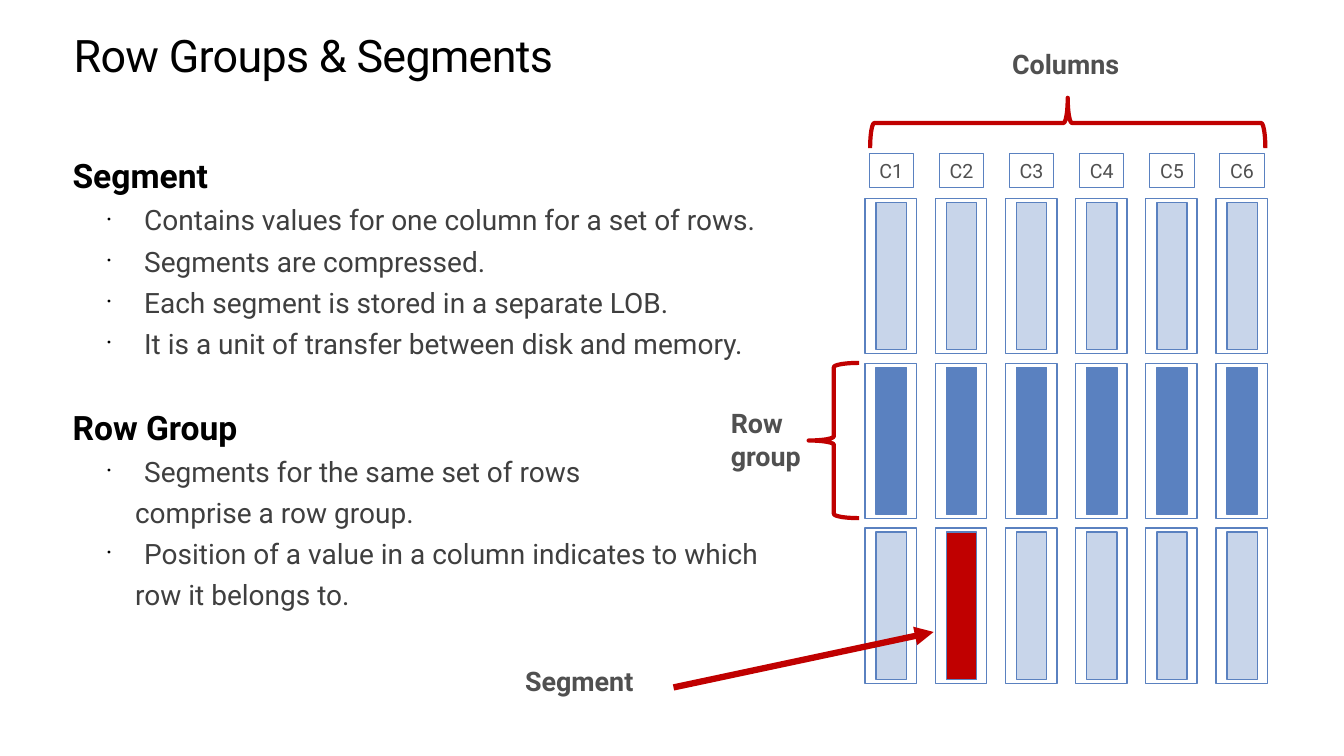
from dataclasses import dataclass
from lxml.etree import SubElement
from pptx import Presentation
from pptx.dml.color import RGBColor
from pptx.enum.shapes import MSO_CONNECTOR, MSO_SHAPE
from pptx.enum.text import MSO_ANCHOR, MSO_AUTO_SIZE, PP_ALIGN
from pptx.oxml.ns import qn
from pptx.util import Inches, Pt


@dataclass(frozen=True)
class Theme:
    font: str = "Roboto"
    black: str = "000000"
    body: str = "3F3F3F"
    gray: str = "505050"
    blue: str = "5A81C0"
    pale: str = "C8D5EA"
    red: str = "C00000"
    title: float = 32
    head: float = 24
    text: float = 20
    note: float = 19.2
    cell: float = 14


THEME = Theme()


def color(code):
    return RGBColor.from_string(code)


def write(para, text, size=THEME.text, ink=THEME.body, bold=False,
          align=PP_ALIGN.LEFT, before=0, left=0, hang=0, dot=None, track=0):
    """Put one formatted run of text into a paragraph."""
    para.alignment = align
    para.space_before = Pt(before)
    props = para._p.get_or_add_pPr()
    props.set("marL", str(Inches(left)))
    props.set("indent", str(Inches(-hang)))
    if dot:
        tint = SubElement(props, qn("a:buClr"))
        SubElement(tint, qn("a:srgbClr"), val=THEME.black)
        SubElement(props, qn("a:buSzPct"), val="90000")
        SubElement(props, qn("a:buFont"), typeface=THEME.font)
        SubElement(props, qn("a:buChar"), char=dot)
    run = para.add_run()
    run.text = text
    run.font.name = THEME.font
    run.font.size = Pt(size)
    run.font.bold = bold
    run.font.color.rgb = color(ink)
    if track:
        run.font._element.set("spc", str(int(track * 100)))


class Deck:
    def __init__(self, theme):
        self.theme = theme
        self.file = Presentation()
        self.file.slide_width = Inches(13.33)
        self.file.slide_height = Inches(7.5)
        self.slide = self.file.slides.add_slide(self.file.slide_layouts[5])
        self.shapes = self.slide.shapes

    def group(self):
        return self.shapes.add_group_shape().shapes

    def title(self, text, x, y, w, h):
        box = self.shapes.title
        box.left, box.top, box.width, box.height = map(Inches, (x, y, w, h))
        frame = self.clear(box.text_frame)
        frame.vertical_anchor = MSO_ANCHOR.TOP
        para = frame.paragraphs[0]
        para.line_spacing = Pt(36.2)
        write(para, text, size=self.theme.title, ink=self.theme.black, track=-0.5)

    def clear(self, frame):
        """Wrap the text and drop its margins."""
        frame.word_wrap = True
        frame.margin_left = frame.margin_right = 0
        frame.margin_top = frame.margin_bottom = 0
        return frame

    def frame(self, x, y, w, h):
        box = self.shapes.add_textbox(*map(Inches, (x, y, w, h)))
        box.text_frame.word_wrap = True
        return box.text_frame

    def label(self, text, x, y, w, h, align=PP_ALIGN.LEFT):
        frame = self.frame(x, y, w, h)
        frame.auto_size = MSO_AUTO_SIZE.SHAPE_TO_FIT_TEXT
        write(frame.paragraphs[0], text, size=self.theme.note,
              ink=self.theme.gray, bold=True, align=align)

    def shape(self, x, y, w, h, kind=MSO_SHAPE.RECTANGLE, fill=None,
              line=THEME.blue, width=1, turn=0, into=None):
        item = (into or self.shapes).add_shape(kind, *map(Inches, (x, y, w, h)))
        item.shadow.inherit = False
        if fill:
            item.fill.solid()
            item.fill.fore_color.rgb = color(fill)
        else:
            item.fill.background()
        item.line.color.rgb = color(line)
        item.line.width = Pt(width)
        item.rotation = turn
        return item

    def brace(self, x, y, w, h, turn):
        self.shape(x, y, w, h, kind=MSO_SHAPE.RIGHT_BRACE,
                   line=self.theme.red, width=3, turn=turn)

    def arrow(self, x1, y1, x2, y2):
        item = self.shapes.add_connector(
            MSO_CONNECTOR.STRAIGHT, *map(Inches, (x1, y1, x2, y2)))
        item.line.color.rgb = color(self.theme.red)
        item.line.width = Pt(4.5)
        SubElement(item.line._get_or_add_ln(), qn("a:tailEnd"), type="triangle")
        SubElement(item._element.spPr, qn("a:effectLst"))


# Body wording: kind of line, then its text
LINES = [
    ("head", "Segment"),
    ("item", "Contains values for one column for a set of rows."),
    ("item", "Segments are compressed."),
    ("item", "Each segment is stored in a separate LOB."),
    ("item", "It is a unit of transfer between disk and memory."),
    ("head", "Row Group"),
    ("item", "Segments for the same set of rows"),
    ("more", "comprise a row group."),
    ("item", "Position of a value in a column indicates to which"),
    ("more", "row it belongs to."),
]
FORMS = {
    "head": dict(size=THEME.head, ink=THEME.black, bold=True, before=33.5),
    "item": dict(left=0.71, hang=0.38, dot="·", before=5.3),
    "more": dict(left=0.62, before=5.3),
}


def body(deck):
    frame = deck.clear(deck.frame(0.72, 1.54, 11.9, 5.27))
    for n, (kind, text) in enumerate(LINES):
        para = frame.add_paragraph() if n else frame.paragraphs[0]
        form = FORMS[kind] if n else {**FORMS[kind], "before": 0}
        write(para, text, **form)


def grid(deck):
    cols, rows = 6, 3
    left, top = 8.58, 1.97
    step, drop = 3.48 / (cols - 1), 3.27 / (rows - 1)
    for col in range(cols):
        x = left + col * step
        group = deck.group()
        # Column name
        name = deck.shape(x + 0.04, 1.52, 0.44, 0.34, width=0.75, into=group)
        name.text_frame.word_wrap = False
        write(name.text_frame.paragraphs[0], f"C{col + 1}", size=THEME.cell,
              ink=THEME.gray, align=PP_ALIGN.CENTER)
        # Segments, one per row group
        for row in range(rows):
            y = top + row * drop
            fill = THEME.blue if row == 1 else THEME.pale
            if (col, row) == (1, 2):
                fill = THEME.red
            deck.shape(x + 0.11, y + 0.04, 0.3, 1.46, fill=fill, into=group)
            deck.shape(x, y, 0.51, 1.54, into=group)


def main():
    deck = Deck(THEME)
    deck.title("Row Groups & Segments", 0.73, 0.31, 11.9, 0.5)
    body(deck)
    grid(deck)
    # Braces and labels
    deck.brace(10.34, -0.74, 0.5, 3.92, turn=270)
    deck.brace(8.02, 3.6, 0.5, 1.54, turn=180)
    deck.label("Columns", 9.62, 0.42, 1.9, 0.42, align=PP_ALIGN.CENTER)
    deck.label("Row group", 7.15, 3.99, 1.01, 0.74)
    # Pointer to one segment
    deck.arrow(6.68, 6.82, 9.26, 6.27)
    deck.label("Segment", 5.11, 6.54, 1.57, 0.42)
    deck.file.save("out.pptx")


if __name__ == "__main__":
    main()
